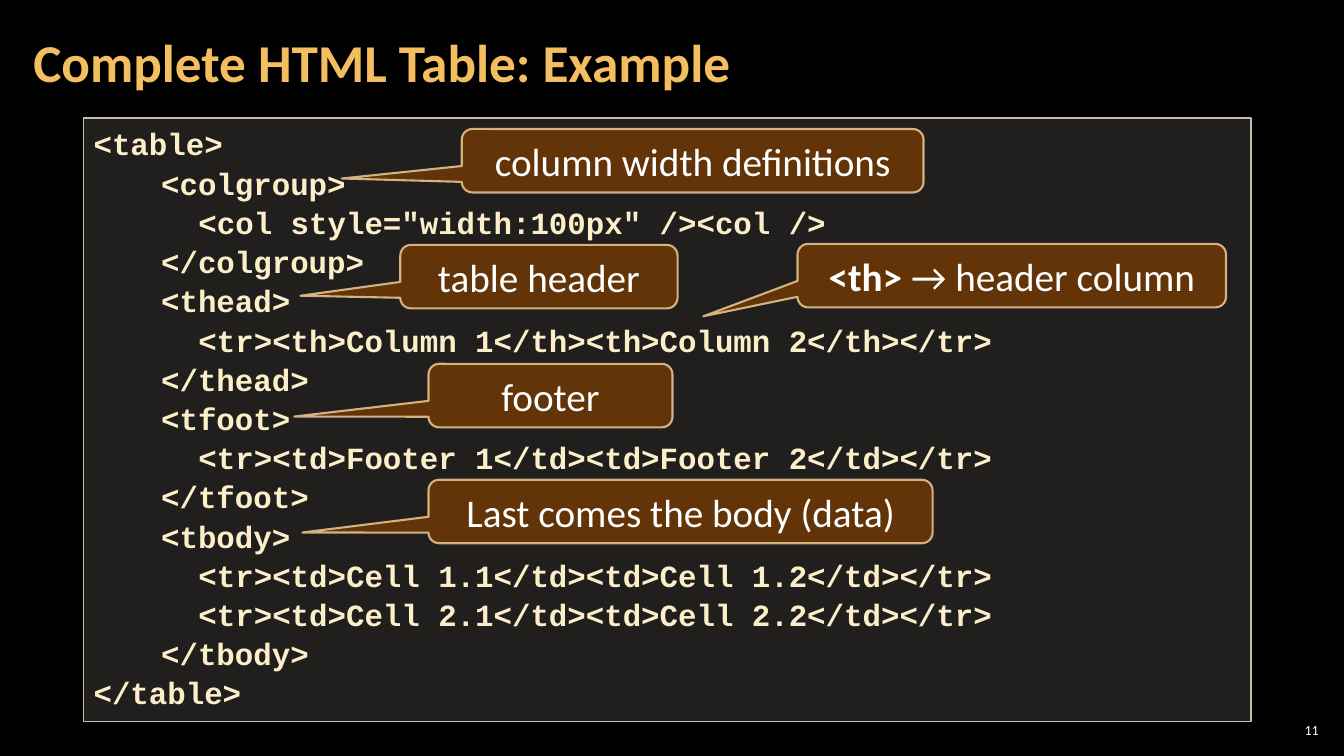
from dataclasses import dataclass

from lxml import etree
from pptx import Presentation
from pptx.dml.color import RGBColor
from pptx.enum import shapes, text
from pptx.oxml import ns
from pptx.util import Inches, Pt

BLACK = RGBColor(0x00, 0x00, 0x00)
WHITE = RGBColor(0xFF, 0xFF, 0xFF)
GOLD = RGBColor(0xF3, 0xBE, 0x60)
CODE_FILL = RGBColor(0xD9, 0xD5, 0xC7)
CODE_LINE = RGBColor(0xC7, 0xBF, 0xAC)
CODE_TEXT = RGBColor(0xFB, 0xEE, 0xC9)
CALLOUT_FILL = RGBColor(0x66, 0x36, 0x06)
CALLOUT_LINE = RGBColor(0xF8, 0xD4, 0x9E)

CALLOUT_HEIGHT = 0.63
# Left margin in inches for each nesting depth of the code
CODE_MARGINS = (0, 0.67, 1.04)


@dataclass
class CodeLine:
    depth: int
    code: str


@dataclass
class Callout:
    left: float
    top: float
    width: float
    tip_x: float
    tip_y: float
    label: str
    bold_prefix: str = ""


CODE = [
    CodeLine(0, "<table>"),
    CodeLine(1, "<colgroup>"),
    CodeLine(2, '<col style="width:100px" /><col />'),
    CodeLine(1, "</colgroup>"),
    CodeLine(1, "<thead>"),
    CodeLine(2, "<tr><th>Column 1</th><th>Column 2</th></tr>"),
    CodeLine(1, "</thead>"),
    CodeLine(1, "<tfoot>"),
    CodeLine(2, "<tr><td>Footer 1</td><td>Footer 2</td></tr>"),
    CodeLine(1, "</tfoot>"),
    CodeLine(1, "<tbody>"),
    CodeLine(2, "<tr><td>Cell 1.1</td><td>Cell 1.2</td></tr>"),
    CodeLine(2, "<tr><td>Cell 2.1</td><td>Cell 2.2</td></tr>"),
    CodeLine(1, "</tbody>"),
    CodeLine(0, "</table>"),
]

CALLOUTS = [
    Callout(3.97, 2.43, 2.75, -0.86, 0.3, "table header"),
    Callout(4.25, 3.61, 2.42, -1.05, 0.33, "footer"),
    Callout(4.25, 4.76, 5, -0.75, 0.33, "Last comes the body (data)"),
    Callout(7.91, 2.42, 4.25, -0.72, 0.64, "→ header column", "<th> "),
    Callout(4.58, 1.28, 4.58, -0.76, 0.28, "column width definitions"),
]


def set_font(font, name: str, size: float, color: RGBColor, bold: bool | None = None) -> None:
    font.name = name
    font.size = Pt(size)
    font.color.rgb = color
    font.bold = bold


def set_opacity(color_format_parent, percent: int) -> None:
    """Add an alpha value to the solid colour inside a shape or line element."""
    color = color_format_parent.find(ns.qn("a:solidFill"))[0]
    etree.SubElement(color, ns.qn("a:alpha")).set("val", str(percent * 1000))


def style_box(shape, fill: RGBColor, opacity: int, line: RGBColor, width: float) -> None:
    shape.shadow.inherit = False
    shape.fill.solid()
    shape.fill.fore_color.rgb = fill
    set_opacity(shape._element.spPr, opacity)
    shape.line.color.rgb = line
    shape.line.width = Pt(width)


def add_title(slide) -> None:
    title = slide.shapes.title
    title.left, title.top = Inches(0.21), Inches(0.04)
    title.width, title.height = Inches(10.47), Inches(1.21)
    frame = title.text_frame
    frame.text = "Complete HTML Table: Example"
    frame.vertical_anchor = text.MSO_ANCHOR.MIDDLE
    frame.margin_left = frame.margin_right = Inches(0.12)
    frame.margin_top = frame.margin_bottom = Inches(0.04)
    paragraph = frame.paragraphs[0]
    paragraph.alignment = text.PP_ALIGN.LEFT
    paragraph.line_spacing = 0.9
    set_font(paragraph.font, "Calibri", 38, GOLD, True)


def add_slide_number(slide) -> None:
    box = slide.shapes.add_textbox(Inches(12.65), Inches(7.14), Inches(0.47), Inches(0.21))
    frame = box.text_frame
    frame.word_wrap = True
    frame.vertical_anchor = text.MSO_ANCHOR.MIDDLE
    frame.margin_left = frame.margin_right = Inches(0.04)
    frame.margin_top = frame.margin_bottom = Inches(0.04)
    frame.text = "11"
    paragraph = frame.paragraphs[0]
    paragraph.alignment = text.PP_ALIGN.RIGHT
    set_font(paragraph.font, "Calibri", 10, WHITE)


def add_code(slide, lines: list[CodeLine]) -> None:
    box = slide.shapes.add_shape(
        shapes.MSO_SHAPE.RECTANGLE, Inches(0.83), Inches(1.17), Inches(11.58), Inches(5.99))
    style_box(box, CODE_FILL, 15, CODE_LINE, 1)
    frame = box.text_frame
    frame.word_wrap = True
    frame.vertical_anchor = text.MSO_ANCHOR.TOP
    for index, line in enumerate(lines):
        paragraph = frame.paragraphs[0] if index == 0 else frame.add_paragraph()
        paragraph.text = line.code
        paragraph.level = min(line.depth, 1)
        paragraph.alignment = text.PP_ALIGN.LEFT
        paragraph.line_spacing = Pt(28)
        set_font(paragraph.font, "Courier New", 22, CODE_TEXT, True)
        properties = paragraph._p.get_or_add_pPr()
        properties.set("marL", str(Inches(CODE_MARGINS[line.depth])))
        properties.set("indent", "0")


def add_callout(slide, callout: Callout) -> None:
    shape = slide.shapes.add_shape(
        shapes.MSO_SHAPE.ROUNDED_RECTANGULAR_CALLOUT,
        Inches(callout.left), Inches(callout.top),
        Inches(callout.width), Inches(CALLOUT_HEIGHT))
    shape.adjustments[0] = callout.tip_x
    shape.adjustments[1] = callout.tip_y
    style_box(shape, CALLOUT_FILL, 95, CALLOUT_LINE, 1.5)
    set_opacity(shape.line._get_or_add_ln(), 80)
    frame = shape.text_frame
    frame.word_wrap = True
    frame.vertical_anchor = text.MSO_ANCHOR.MIDDLE
    paragraph = frame.paragraphs[0]
    paragraph.alignment = text.PP_ALIGN.CENTER
    set_font(paragraph.font, "Calibri", 28, WHITE)
    if callout.bold_prefix:
        prefix = paragraph.add_run()
        prefix.text = callout.bold_prefix
        prefix.font.bold = True
    paragraph.add_run().text = callout.label


def main() -> None:
    presentation = Presentation()
    presentation.slide_width = Inches(13.33)
    presentation.slide_height = Inches(7.5)
    slide = presentation.slides.add_slide(presentation.slide_layouts[5])
    slide.background.fill.solid()
    slide.background.fill.fore_color.rgb = BLACK

    # Heading and page number
    add_slide_number(slide)
    add_title(slide)

    # Code listing with its explanations
    add_code(slide, CODE)
    for callout in CALLOUTS:
        add_callout(slide, callout)

    presentation.save("out.pptx")


if __name__ == "__main__":
    main()
